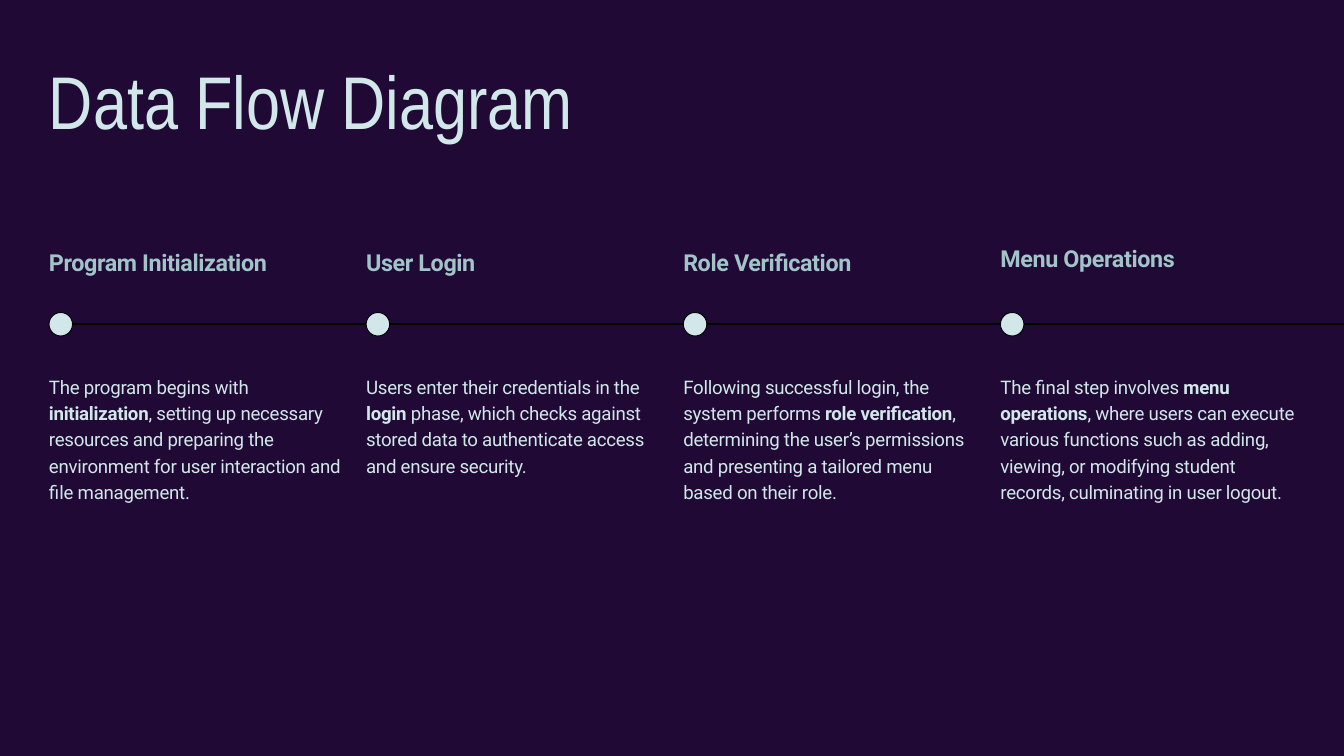
from pptx import Presentation
from pptx.dml.color import RGBColor as Rgb
from pptx.enum.shapes import MSO_SHAPE as Kind
from pptx.enum.text import MSO_AUTO_SIZE as Fit
from pptx.util import Pt

WIDE, HIGH = 1440, 810
LEFT, STEP, COL = 52.5, 339.8, 315.5
DOT = 25.2
NIGHT, PALE, TEAL, BLACK = "200934", "D1E7E9", "A1C4C9", "000000"

FRAME = dict(margin_left=0, margin_top=0, margin_right=0, margin_bottom=0,
             word_wrap=True, auto_size=Fit.SHAPE_TO_FIT_TEXT)
TITLE = dict(font=dict(name="Arial Narrow", size=Pt(80)), color=PALE, lead=80, track=0)
HEAD = dict(font=dict(name="Roboto", size=Pt(25)), color=TEAL, lead=30, track=-40)
BODY = dict(font=dict(name="Roboto", size=Pt(20)), color=PALE, lead=28, track=-30)

STEPS = [
    ("Program Initialization", 265.7, 143.3,
     ("The program begins with ", "initialization",
      ", setting up necessary resources and preparing the environment "
      "for user interaction and file management.")),
    ("User Login", 265.7, 115.2,
     ("Users enter their credentials in the ", "login",
      " phase, which checks against stored data to authenticate access "
      "and ensure security.")),
    ("Role Verification", 265.7, 143.3,
     ("Following successful login, the system performs ", "role verification",
      ", determining the user’s permissions and presenting a tailored menu "
      "based on their role.")),
    ("Menu Operations", 262.1, 145.4,
     ("The final step involves ", "menu operations",
      ", where users can execute various functions such as adding, viewing, "
      "or modifying student records, culminating in user logout.")),
]


def paint(fill, color):
    """Give a fill one solid colour."""
    fill.solid()
    fill.fore_color.rgb = Rgb.from_string(color)


def apply(item, vals):
    """Set each named attribute on an object."""
    for name, val in vals.items():
        setattr(item, name, val)


def write(slide, box, parts, style):
    """Place a text box whose parts are (text, bold) pairs."""
    frame = slide.shapes.add_textbox(*map(Pt, box)).text_frame
    apply(frame, FRAME)
    para = frame.paragraphs[0]
    para.line_spacing = Pt(style["lead"])
    for text, bold in parts:
        run = para.add_run()
        run.text = text
        apply(run.font, dict(style["font"], bold=bold))
        paint(run.font.fill, style["color"])
        if style["track"]:
            run.font._element.set("spc", str(style["track"]))


def draw(slide, kind, box):
    """Place a pale shape with a thin black outline."""
    shape = slide.shapes.add_shape(kind, *map(Pt, box))
    shape.shadow.inherit = False
    paint(shape.fill, PALE)
    paint(shape.line.fill, BLACK)
    shape.line.width = Pt(1)


def stage(slide, left, top, head, rise, tall, body):
    """Place one step: its heading, dot and text."""
    write(slide, (left, rise, COL, 30.2), [(head, True)], HEAD)
    draw(slide, Kind.OVAL, (left, top, DOT, DOT))
    parts = zip(body, (False, True, False))
    write(slide, (left, top + 64, COL, tall), parts, BODY)


def flow(slide, left, top):
    """Place the time line and its steps."""
    start = left + DOT
    draw(slide, Kind.RECTANGLE, (start, top + DOT / 2 - 0.75, WIDE - start, 1.5))
    for idx, step in enumerate(STEPS):
        stage(slide, left + idx * STEP, top, *step)


def main():
    """Build and save the slide."""
    deck = Presentation()
    apply(deck, dict(slide_width=Pt(WIDE), slide_height=Pt(HIGH)))
    slide = deck.slides.add_slide(deck.slide_layouts[6])
    paint(slide.background.fill, NIGHT)
    write(slide, (LEFT, 75, WIDE - 2 * LEFT, 73), [("Data Flow Diagram", False)], TITLE)
    flow(slide, LEFT, 334.8)
    deck.save("out.pptx")


if __name__ == "__main__":
    main()
